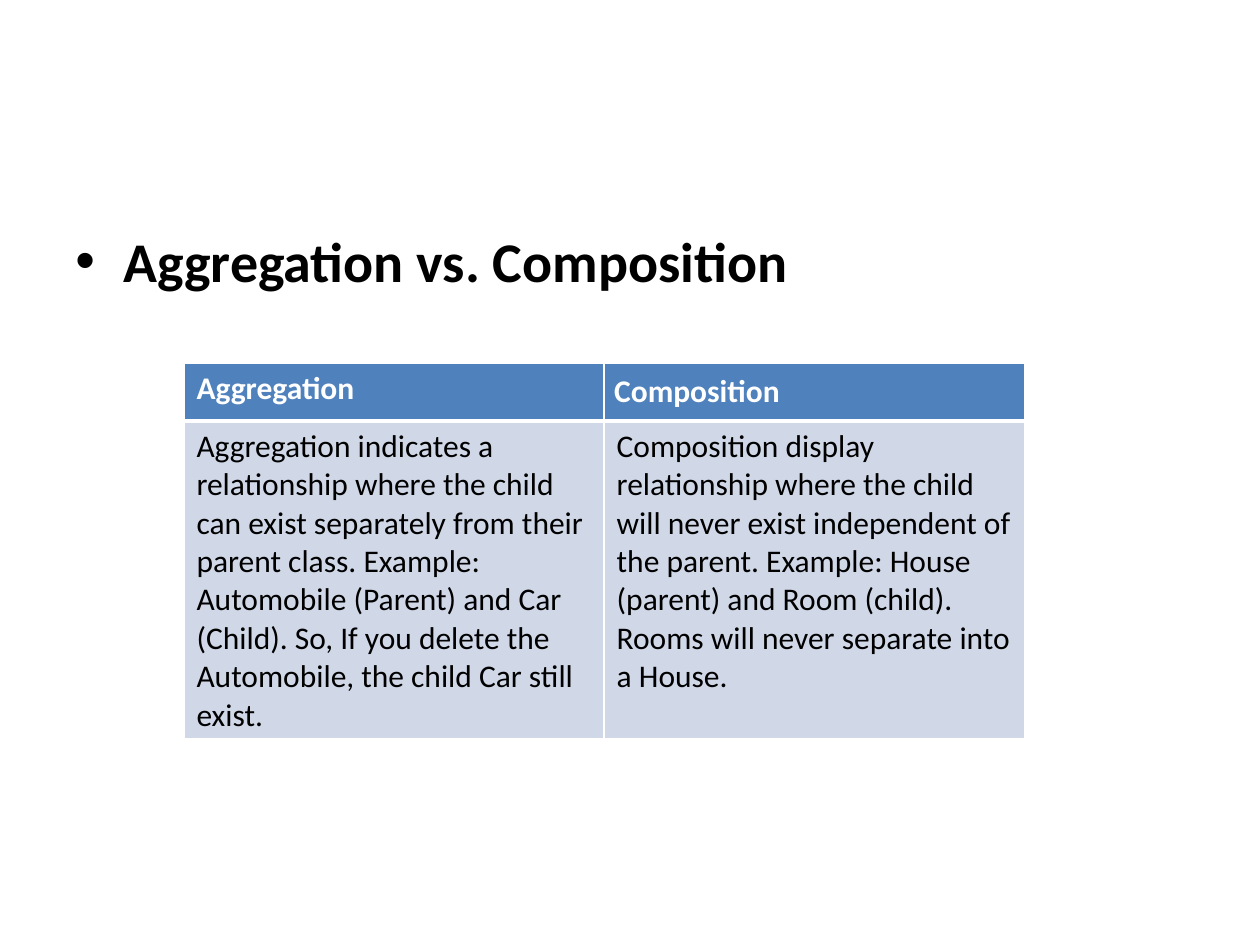
from lxml import etree
from pptx import Presentation
from pptx.dml.color import RGBColor
from pptx.oxml.ns import qn
from pptx.util import Inches, Pt

FONT = "Calibri"
BLACK, WHITE = "000000", "FFFFFF"
HEADER_FILL, BODY_FILL = "4F81BD", "D0D8E8"

HEADINGS = ["Aggregation", "Composition"]
DESCRIPTIONS = [
    "Aggregation indicates a relationship where the child can exist separately "
    "from their parent class. Example: Automobile (Parent) and Car (Child). "
    "So, If you delete the Automobile, the child Car still exist.",
    "Composition display relationship where the child will never exist "
    "independent of the parent. Example: House (parent) and Room (child). "
    "Rooms will never separate into a House.",
]


def color(hex_string):
    return RGBColor.from_string(hex_string)


def set_font(paragraph, size, hex_string, bold):
    font = paragraph.font
    font.name = FONT
    font.size = Pt(size)
    font.bold = bold
    font.color.rgb = color(hex_string)


def add_bullet_title(slide, text):
    shape = slide.shapes.add_textbox(Inches(0.5), Inches(1.75), Inches(9), Inches(4.95))
    shape.text_frame.word_wrap = True
    paragraph = shape.text_frame.paragraphs[0]
    paragraph.text = text
    paragraph.space_before = Pt(6.4)
    set_font(paragraph, 32, BLACK, True)
    # Hanging bullet
    properties = paragraph._p.get_or_add_pPr()
    properties.set("marL", str(Inches(0.38)))
    properties.set("indent", str(Inches(-0.38)))
    bullet_font = etree.Element(qn("a:buFont"), typeface="Arial")
    bullet = etree.Element(qn("a:buChar"), char="•")
    spacing = properties.find(qn("a:spcBef"))
    spacing.addnext(bullet_font)
    bullet_font.addnext(bullet)


def set_borders(cell, widths):
    properties = cell._tc.get_or_add_tcPr()
    for side, width in widths.items():
        line = etree.SubElement(properties, qn(f"a:ln{side}"), w=str(Pt(width)))
        fill = etree.SubElement(line, qn("a:solidFill"))
        etree.SubElement(fill, qn("a:srgbClr"), val=WHITE)


def fill_cell(cell, text, fill, text_color, bold, borders):
    set_borders(cell, borders)
    cell.fill.solid()
    cell.fill.fore_color.rgb = color(fill)
    cell.text = text
    set_font(cell.text_frame.paragraphs[0], 18, text_color, bold)


def add_comparison_table(slide):
    frame = slide.shapes.add_table(
        2, 2, Inches(1.46), Inches(2.88), Inches(6.67), Inches(2.97))
    table = frame.table
    table.rows[0].height = Inches(0.45)
    table.rows[1].height = Inches(2.52)
    header_borders = {"L": 1, "R": 1, "T": 1, "B": 3}
    body_borders = {"L": 1, "R": 1, "T": 3, "B": 1}
    for column, (heading, description) in enumerate(zip(HEADINGS, DESCRIPTIONS)):
        fill_cell(table.cell(0, column), heading, HEADER_FILL, WHITE, True, header_borders)
        fill_cell(table.cell(1, column), description, BODY_FILL, BLACK, False, body_borders)
    # The second heading has even margins
    cell = table.cell(0, 1)
    cell.margin_left = cell.margin_right = Inches(0.08)
    cell.margin_top = cell.margin_bottom = Inches(0.08)


def main():
    presentation = Presentation()
    presentation.slide_width = Inches(10)
    presentation.slide_height = Inches(7.5)
    slide = presentation.slides.add_slide(presentation.slide_layouts[6])
    add_bullet_title(slide, "Aggregation vs. Composition")
    add_comparison_table(slide)
    presentation.save("out.pptx")


if __name__ == "__main__":
    main()
